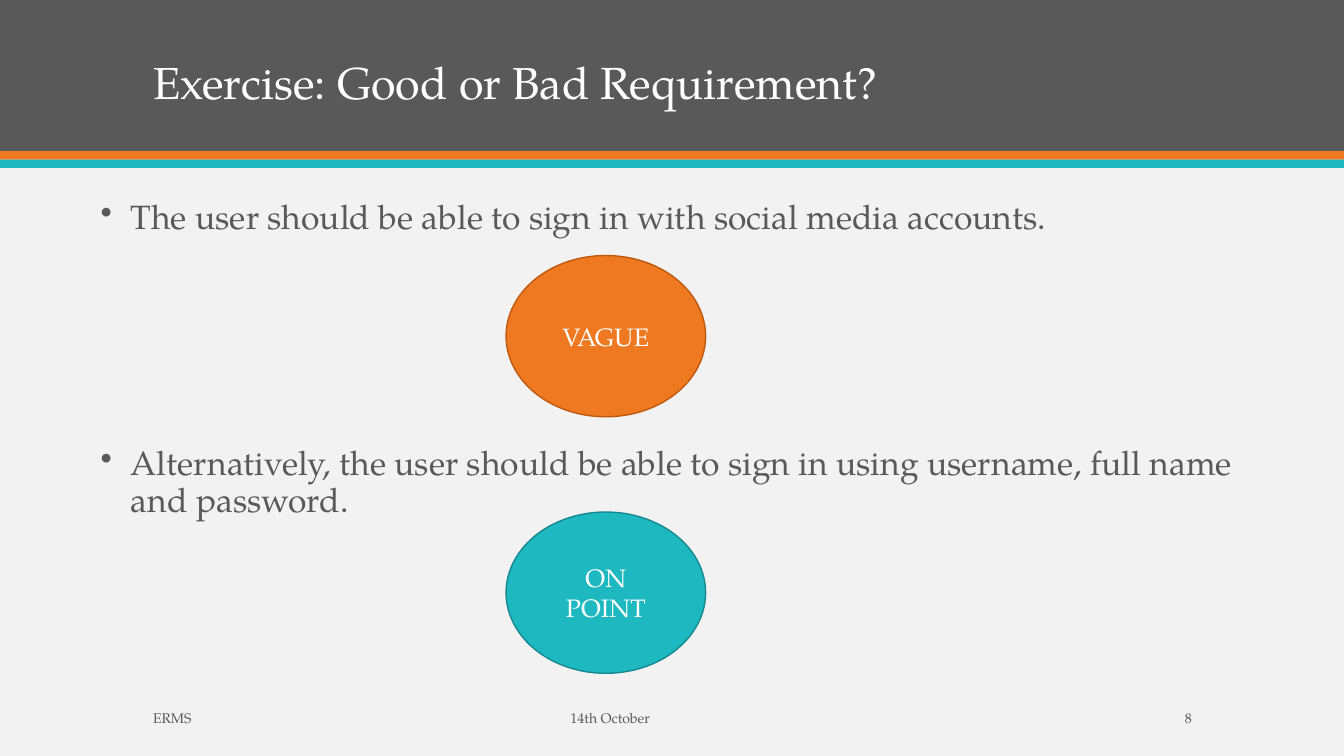
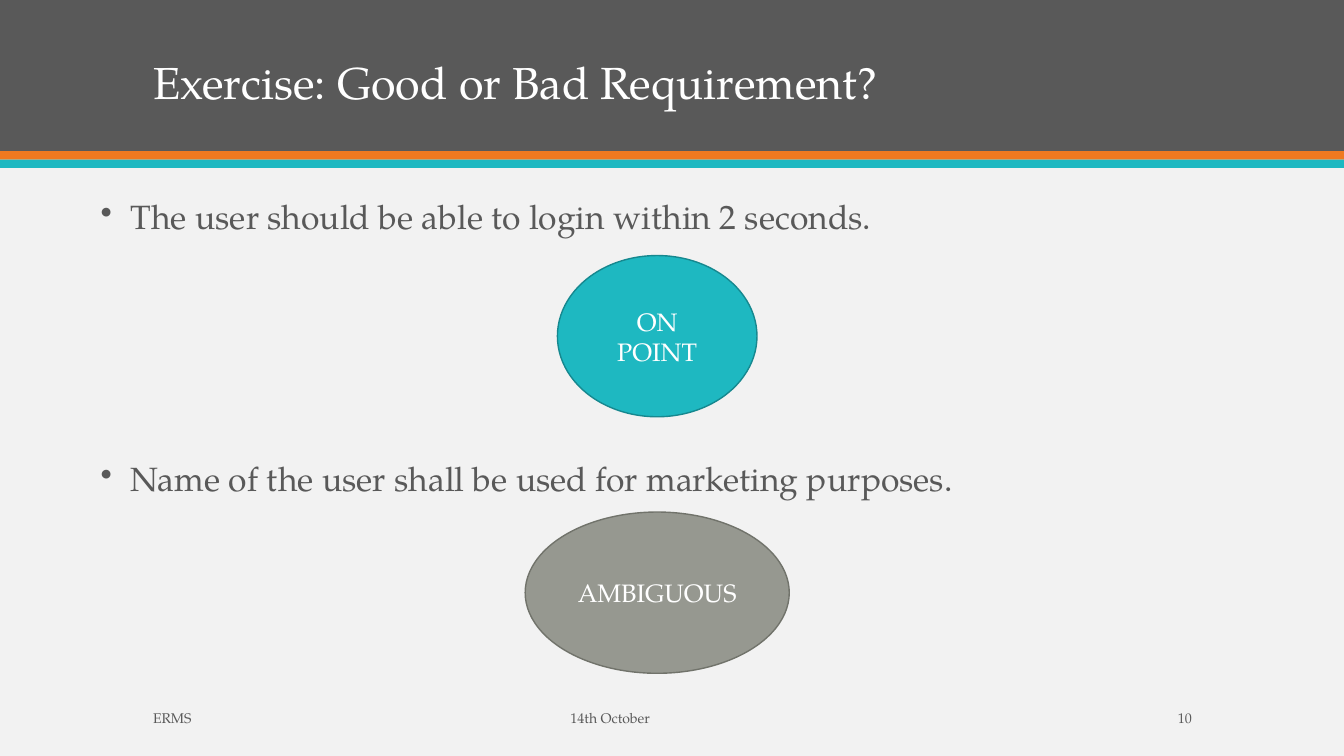
"""Builds two slides that judge sample requirements."""
from lxml.etree import SubElement
from pptx import Presentation
from pptx.dml.color import RGBColor
from pptx.enum.shapes import MSO_SHAPE
from pptx.enum.text import MSO_ANCHOR, PP_ALIGN
from pptx.oxml.ns import qn
from pptx.util import Inches, Pt

WIDTH, HEIGHT = Inches(13.33), Inches(7.5)
FONT = "TeX Gyre Pagella"
PAPER = RGBColor(0xF2, 0xF2, 0xF2)
WHITE = RGBColor(0xFF, 0xFF, 0xFF)
GRAY = RGBColor(0x59, 0x59, 0x59)
ORANGE = RGBColor(0xEF, 0x79, 0x20)
RUST = RGBColor(0xBE, 0x59, 0x0E)
TEAL = RGBColor(0x1E, 0xB8, 0xC1)
PINE = RGBColor(0x16, 0x88, 0x8F)
STONE = RGBColor(0x96, 0x98, 0x90)
SLATE = RGBColor(0x71, 0x73, 0x6B)

VAGUE = ("VAGUE", ORANGE, RUST, 14.85)
POINT = ("ON POINT", TEAL, PINE, 14.85)
MIXED = ("AMBIGUOUS", STONE, SLATE, 19.65)

TITLE = "Exercise: Good or Bad Requirement?"
BANDS = ((0, 20, GRAY), (20, 1.11, ORANGE), (21.11, 1.11, TEAL))
FOOT_TOP, FOOT_TALL = 92.93, 4
OVAL_TOPS, OVAL_TALL = (33.8, 67.73), 21.33


def place(left, top, width, height):
    """Turn percentages of the slide into lengths."""
    return (int(WIDTH * left / 100), int(HEIGHT * top / 100),
            int(WIDTH * width / 100), int(HEIGHT * height / 100))


def style(part, size, color, align=PP_ALIGN.LEFT):
    """Format a paragraph and its runs."""
    part.alignment = align
    for run in part.runs:
        run.font.name = FONT
        run.font.size = Pt(size)
        run.font.color.rgb = color


def add_text(slide, area, text, size, color, anchor, align=PP_ALIGN.LEFT):
    """Add a wrapped text box and return its frame."""
    frame = slide.shapes.add_textbox(*place(*area)).text_frame
    frame.word_wrap = True
    frame.vertical_anchor = anchor
    frame.text = text
    for part in frame.paragraphs:
        style(part, size, color, align)
    return frame


def add_shape(slide, kind, area, fill, edge=None):
    """Add a flat filled shape, outlined if an edge is given."""
    shape = slide.shapes.add_shape(kind, *place(*area))
    shape.shadow.inherit = False
    shape.fill.solid()
    shape.fill.fore_color.rgb = fill
    if edge is None:
        shape.line.fill.background()
    else:
        shape.line.color.rgb = edge
        shape.line.width = Pt(1)
    return shape


def add_frame(slide, number):
    """Add the bands, title and footer."""
    for top, tall, color in BANDS:
        add_shape(slide, MSO_SHAPE.RECTANGLE, (0, top, 100, tall), color)
    title = add_text(slide, (10.65, 0, 78.75, 15.07), TITLE, 32, WHITE,
                     MSO_ANCHOR.BOTTOM)
    title.paragraphs[0].line_spacing = 0.9
    feet = ((10.65, 20, "ERMS", PP_ALIGN.LEFT),
            (41.71, 20, "14th October", PP_ALIGN.LEFT),
            (78.17, 11.25, str(number), PP_ALIGN.RIGHT))
    for left, width, text, align in feet:
        add_text(slide, (left, FOOT_TOP, width, FOOT_TALL), text, 10, GRAY,
                 MSO_ANCHOR.MIDDLE, align)


def add_points(slide, lines, gap):
    """Add bullets, set apart by a gap in points."""
    frame = add_text(slide, (6.75, 25.87, 87.17, 63.33), "\n".join(lines),
                     24, GRAY, MSO_ANCHOR.TOP)
    for index, part in enumerate(frame.paragraphs):
        props = part._p.get_or_add_pPr()
        props.set("marL", str(Inches(0.3)))
        props.set("indent", str(-Inches(0.3)))
        SubElement(props, qn("a:buChar")).set("char", "•")
        part.line_spacing = 0.9
        if index:
            part.space_before = Pt(gap)


def add_oval(slide, mid, top, verdict):
    """Add a verdict oval centred on a column."""
    text, fill, edge, width = verdict
    area = (mid - width / 2, top, width, OVAL_TALL)
    frame = add_shape(slide, MSO_SHAPE.OVAL, area, fill, edge).text_frame
    frame.word_wrap = True
    frame.vertical_anchor = MSO_ANCHOR.MIDDLE
    frame.text = text
    style(frame.paragraphs[0], 18, WHITE, PP_ALIGN.CENTER)


def add_page(deck, number, lines, gap, mid, verdicts):
    """Add one exercise slide."""
    slide = deck.slides.add_slide(deck.slide_layouts[6])
    slide.background.fill.solid()
    slide.background.fill.fore_color.rgb = PAPER
    add_frame(slide, number)
    add_points(slide, lines, gap)
    for top, verdict in zip(OVAL_TOPS, verdicts):
        add_oval(slide, mid, top, verdict)


def main():
    """Build and save the deck."""
    deck = Presentation()
    deck.slide_width, deck.slide_height = WIDTH, HEIGHT
    add_page(deck, 8, (
        "The user should be able to sign in with social media accounts.",
        "Alternatively, the user should be able to sign in using username, "
        "full name and password."), 150, 45.08, (VAGUE, POINT))
    add_page(deck, 10, (
        "The user should be able to login within 2 seconds.",
        "Name of the user shall be used for marketing purposes."),
        161, 48.9, (POINT, MIXED))
    deck.save("out.pptx")


if __name__ == "__main__":
    main()
